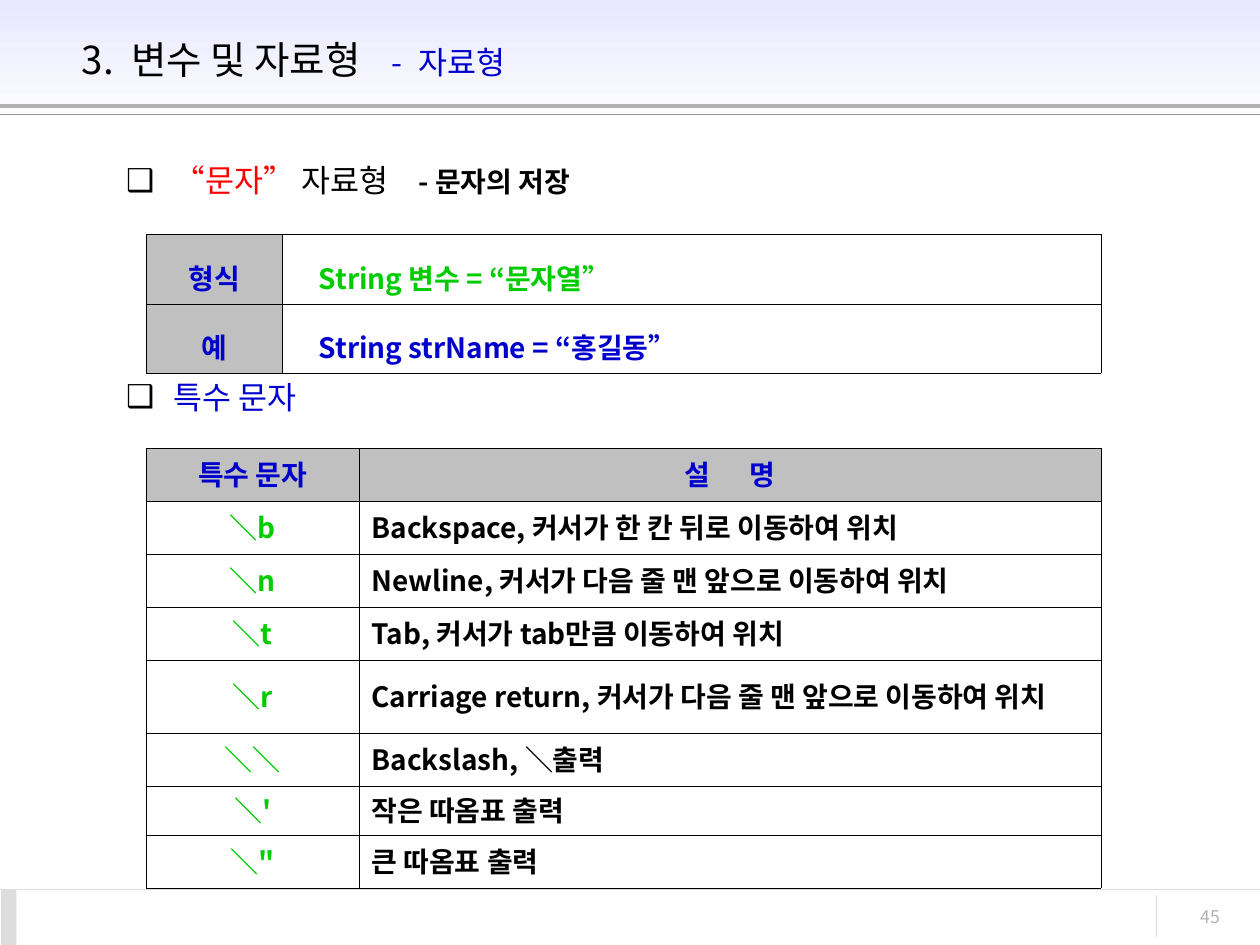
import pptx
import pptx.dml.color
import pptx.enum.shapes
import pptx.enum.text
import pptx.oxml
import pptx.oxml.ns
import pptx.util
from pptx.util import Inches

FONT = "Noto Sans CJK KR"
BLACK, BLUE, GREEN, RED = "000000", "0000CC", "00CC00", "FF0000"
HEADER_GRAY, RULE_GRAY, PAGE_GRAY = "C0C0C0", "DDDDDD", "B2B2B2"
ALIGN = pptx.enum.text.PP_ALIGN

# Runs are (text, format); a wide gap is one space with extra letter spacing.
TITLE = [
    ("3.", {"size": 22}), (" ", {"size": 22, "spacing": 5}),
    ("변수 및 자료형", {"size": 22}), (" ", {"size": 22, "spacing": 13}),
    ("-", {"size": 18, "color": BLUE}), (" ", {"size": 18, "spacing": 5}),
    ("자료형", {"size": 18, "color": BLUE}),
]
TOPICS = [
    (0, [("“문자” ", {"size": 18, "color": RED}), ("자료형", {"size": 18}),
         (" ", {"size": 18, "spacing": 13}),
         ("- 문자의 저장", {"size": 16, "bold": True})]),
    (102, [("특수 문자", {"size": 18, "color": BLUE})]),
]
SYNTAX = [
    ("형식", "String 변수 = “문자열”", GREEN),
    ("예", "String strName = “홍길동”", BLUE),
]
ESCAPES = [
    ("＼b", "Backspace, 커서가 한 칸 뒤로 이동하여 위치"),
    ("＼n", "Newline, 커서가 다음 줄 맨 앞으로 이동하여 위치"),
    ("＼t", "Tab, 커서가 tab만큼 이동하여 위치"),
    ("＼r", "Carriage return, 커서가 다음 줄 맨 앞으로 이동하여 위치"),
    ("＼＼", "Backslash, ＼출력"),
    ("＼'", "작은 따옴표 출력"),
    ("＼\"", "큰 따옴표 출력"),
]
ESCAPE_HEIGHTS = [0.42, 0.42, 0.42, 0.42, 0.58, 0.42, 0.39, 0.42]
RULES = [  # from, to, colour, width
    ((0, 0.84), (10, 0.84), PAGE_GRAY, 2.25),
    ((0, 0.91), (10, 0.91), "969696", 0.75),
    ((0, 7.06), (10, 7.06), RULE_GRAY, 0.75),
    ((9.18, 7.1), (9.18, 7.44), RULE_GRAY, 0.75),
]


def rgb(color):
    return pptx.dml.color.RGBColor.from_string(color)


def add_xml(parent, markup):
    ns = pptx.oxml.ns.nsdecls("a")
    head, slash, tail = markup.partition("/>") if markup.endswith("/>") else markup.partition(">")
    parent.append(pptx.oxml.parse_xml(f"{head} {ns}{slash}{tail}"
                                      if slash == "/>" else f"{head} {ns}>{tail}"))


def write(paragraph, text, size=16, color=BLACK, bold=False, spacing=0):
    run = paragraph.add_run()
    run.text = text
    run.font.size = pptx.util.Pt(size)
    run.font.bold = bold
    run.font.color.rgb = rgb(color)
    run.font.name = FONT
    properties = run.font._element
    add_xml(properties, f'<a:ea typeface="{FONT}"/>')
    if spacing:
        properties.set("spc", str(spacing * 100))


def write_runs(paragraph, runs):
    for text, style in runs:
        write(paragraph, text, **style)


def place(shape, left, top, width, height):
    shape.left, shape.top = Inches(left), Inches(top)
    shape.width, shape.height = Inches(width), Inches(height)


def add_band(slide, left, top, width, height):
    band = slide.shapes.add_shape(pptx.enum.shapes.MSO_SHAPE.RECTANGLE, Inches(left),
                                  Inches(top), Inches(width), Inches(height))
    band.shadow.inherit = False
    band.line.fill.background()
    return band


def add_rule(slide, start, end, color, width):
    rule = slide.shapes.add_connector(pptx.enum.shapes.MSO_CONNECTOR.STRAIGHT,
                                      *(Inches(value) for value in start + end))
    rule.line.color.rgb = rgb(color)
    rule.line.width = pptx.util.Pt(width)
    add_xml(rule._element.spPr, "<a:effectLst/>")


def add_grid(slide, top, widths, heights):
    frame = slide.shapes.add_table(len(heights), len(widths), Inches(1.16), Inches(top),
                                   Inches(sum(widths)), Inches(sum(heights)))
    grid = frame.table
    for column, width in zip(grid.columns, widths):
        column.width = Inches(width)
    for row, height in zip(grid.rows, heights):
        row.height = Inches(height)
    return grid


def fill_cell(cell, runs, align, line_spacing, shade=None, indent=0):
    cell.vertical_anchor = pptx.enum.text.MSO_ANCHOR.MIDDLE
    paragraph = cell.text_frame.paragraphs[0]
    paragraph.alignment = align
    paragraph.line_spacing = line_spacing
    properties = paragraph._p.get_or_add_pPr()
    properties.set("marL", str(Inches(indent)))
    write_runs(paragraph, runs)
    cell_properties = cell._tc.get_or_add_tcPr()
    for side in ("lnL", "lnR", "lnT", "lnB"):
        add_xml(cell_properties, f'<a:{side} w="{pptx.util.Pt(0.11)}"><a:solidFill>'
                f'<a:srgbClr val="{BLACK}"/></a:solidFill></a:{side}>')
    if shade:
        cell.fill.solid()
        cell.fill.fore_color.rgb = rgb(shade)
    else:
        cell.fill.background()


def add_backdrop(slide):
    header = add_band(slide, 0, 0, 10, 1)
    header.fill.gradient()
    header.fill.gradient_angle = 270
    for stop, color, position in zip(header.fill.gradient_stops, ("E7E7FF", "FFFFFF"), (0, 1)):
        stop.color.rgb = rgb(color)
        stop.position = position
    corner = add_band(slide, 0.01, 7.06, 0.12, 0.44)
    corner.fill.solid()
    corner.fill.fore_color.rgb = rgb(RULE_GRAY)
    for rule in RULES:
        add_rule(slide, *rule)
    page = slide.shapes.add_textbox(Inches(8.86), Inches(7.14), Inches(0.92), Inches(0.33))
    page.text_frame.word_wrap = True
    number = page.text_frame.paragraphs[0]
    number.alignment = ALIGN.RIGHT
    write(number, "45", size=10, color=PAGE_GRAY)


def add_headings(slide):
    title, body = slide.shapes.title, slide.placeholders[1]
    for placeholder in (title, body):  # bring in front of the header band
        slide.shapes._spTree.append(placeholder._element)
        placeholder.text_frame.auto_size = pptx.enum.text.MSO_AUTO_SIZE.NONE
    place(title, 0.55, 0.13, 8.63, 0.68)
    title.text_frame.vertical_anchor = pptx.enum.text.MSO_ANCHOR.MIDDLE
    heading = title.text_frame.paragraphs[0]
    heading.alignment = ALIGN.LEFT
    write_runs(heading, TITLE)

    place(body, 0.9, 1.23, 8.58, 5.17)
    for index, (space_before, runs) in enumerate(TOPICS):
        topic = body.text_frame.add_paragraph() if index else body.text_frame.paragraphs[0]
        topic.space_before = pptx.util.Pt(space_before)
        properties = topic._p.get_or_add_pPr()
        properties.set("marL", str(Inches(0.38)))
        properties.set("indent", str(-Inches(0.38)))
        add_xml(properties, f'<a:buClr><a:srgbClr val="{BLACK}"/></a:buClr>')
        add_xml(properties, '<a:buChar char="❑"/>')
        write_runs(topic, runs)


def add_tables(slide):
    syntax = add_grid(slide, 1.86, [1.08, 6.5], [0.55] * len(SYNTAX))
    for row, (label, code, color) in enumerate(SYNTAX):
        fill_cell(syntax.cell(row, 0), [(label, {"color": BLUE, "bold": True})],
                  ALIGN.CENTER, 1.4, HEADER_GRAY)
        fill_cell(syntax.cell(row, 1), [(code, {"color": color, "bold": True})],
                  ALIGN.JUSTIFY, 1.4, indent=0.19)

    escapes = add_grid(slide, 3.56, [1.69, 5.89], ESCAPE_HEIGHTS)
    head = {"color": BLUE, "bold": True}
    headers = [[("특수 문자", head)],
               [("설", head), (" ", {"spacing": 19}), ("명", head)]]
    for column, runs in enumerate(headers):
        fill_cell(escapes.cell(0, column), runs, ALIGN.CENTER, 0.9, HEADER_GRAY)
    for row, (symbol, meaning) in enumerate(ESCAPES, start=1):
        fill_cell(escapes.cell(row, 0), [(symbol, {"color": GREEN, "bold": True})],
                  ALIGN.CENTER, 0.9)
        fill_cell(escapes.cell(row, 1), [(meaning, {"bold": True})], ALIGN.JUSTIFY, 0.9)


def main():
    deck = pptx.Presentation()
    deck.slide_width, deck.slide_height = Inches(10), Inches(7.5)
    slide = deck.slides.add_slide(deck.slide_layouts[1])
    add_backdrop(slide)
    add_headings(slide)
    add_tables(slide)
    deck.save("out.pptx")


if __name__ == "__main__":
    main()
